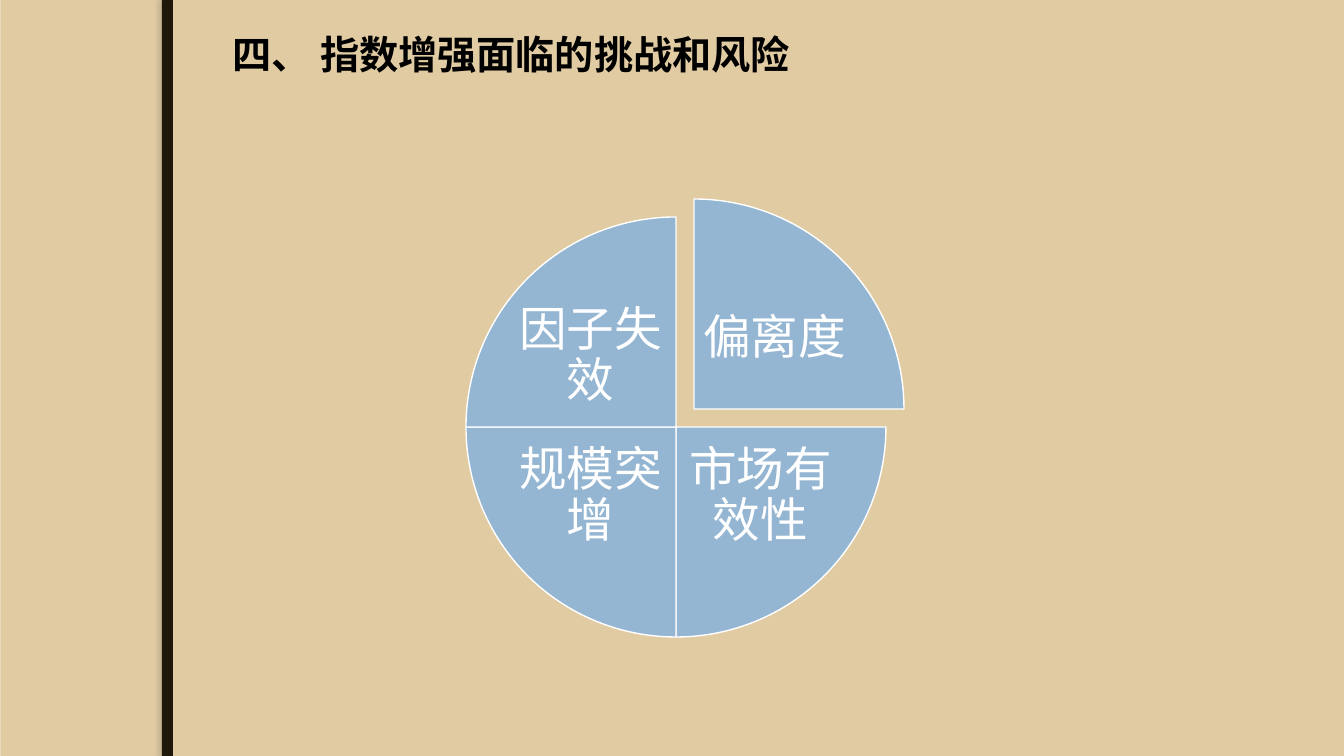
from lxml import etree
from pptx import Presentation
from pptx.dml.color import RGBColor as Rgb
from pptx.enum.shapes import MSO_SHAPE as Shape
from pptx.enum.text import MSO_ANCHOR as Anchor, MSO_AUTO_SIZE as Fit, PP_ALIGN as Align
from pptx.oxml import parse_xml
from pptx.util import Pt

PX = 914400 / 100.8
THEME = {
    "font": "Quicksand", "title": 28, "label": 34,
    "back": "EBDDC3", "panel": "E0CBA3", "bar": "20190B", "shade": "766E60",
    "slice": "94B6D2", "white": "FFFFFF", "black": "000000",
}


def px(*sizes):
    return [round(size * PX) for size in sizes]


def paint(fill, name):
    fill.solid()
    fill.fore_color.rgb = Rgb.from_string(THEME[name])


deck = Presentation()
deck.slide_width, deck.slide_height = px(1344, 756)
slide = deck.slides.add_slide(deck.slide_layouts[6])
paint(slide.background.fill, "back")

# Backdrop panel and vertical bar
for left, width, tone in [(1, 1344, "panel"), (162, 11, "bar")]:
    rect = slide.shapes.add_shape(Shape.RECTANGLE, *px(left, 0, width, 756))
    rect.shadow.inherit = False
    paint(rect.fill, tone)
    rect.line.fill.background()

glow = parse_xml(
    '<a:outerShdw xmlns:a="http://schemas.openxmlformats.org/drawingml/2006/main"'
    ' blurRad="38100" dist="38100" dir="10800000" algn="r" rotWithShape="0">'
    f'<a:srgbClr val="{THEME["shade"]}"><a:alpha val="25000"/></a:srgbClr></a:outerShdw>')
effects = rect._element.spPr.find("{*}effectLst")
etree.ElementBase.append(effects, glow)

# Title
title = slide.shapes.add_textbox(*px(223, 25, 604, 57)).text_frame
title.word_wrap = True
title.auto_size = Fit.SHAPE_TO_FIT_TEXT
run = title.paragraphs[0].add_run()
run.text = "四、 指数增强面临的挑战和风险"
run.font.name = THEME["font"]
run.font.size = Pt(THEME["title"])
run.font.bold = True
run.font.color.rgb = Rgb.from_string(THEME["black"])

# Wheel of four quarters, clockwise from the top right; the first is pulled out
QUARTER = 54
wheel = slide.shapes.add_group_shape().shapes
risks = [
    ("偏离度", 18, 697, 277),
    ("市场有效性", 0, 683, 434),
    ("规模突增", 0, 513, 434),
    ("因子失效", 0, 513, 294),
]
for turn, (label, pull, left, top) in enumerate(risks):
    pie = wheel.add_shape(Shape.PIE, *px(466 + pull, 217 - pull, 420, 420))
    pie.adjustments[0] = (turn + 3) % 4 * QUARTER
    pie.adjustments[1] = turn * QUARTER
    pie.shadow.inherit = False
    paint(pie.fill, "slice")
    paint(pie.line.fill, "white")
    pie.line.width = Pt(1)

    frame = wheel.add_textbox(*px(left, top, 155, 125)).text_frame
    frame.word_wrap = True
    frame.vertical_anchor = Anchor.MIDDLE
    (frame.margin_left, frame.margin_top,
     frame.margin_right, frame.margin_bottom) = px(5, 5, 5, 5)
    para = frame.paragraphs[0]
    para.alignment = Align.CENTER
    para.line_spacing = 0.9
    run = para.add_run()
    run.text = label
    run.font.name = THEME["font"]
    run.font.size = Pt(THEME["label"])
    run.font.color.rgb = Rgb.from_string(THEME["white"])

deck.save("out.pptx")
